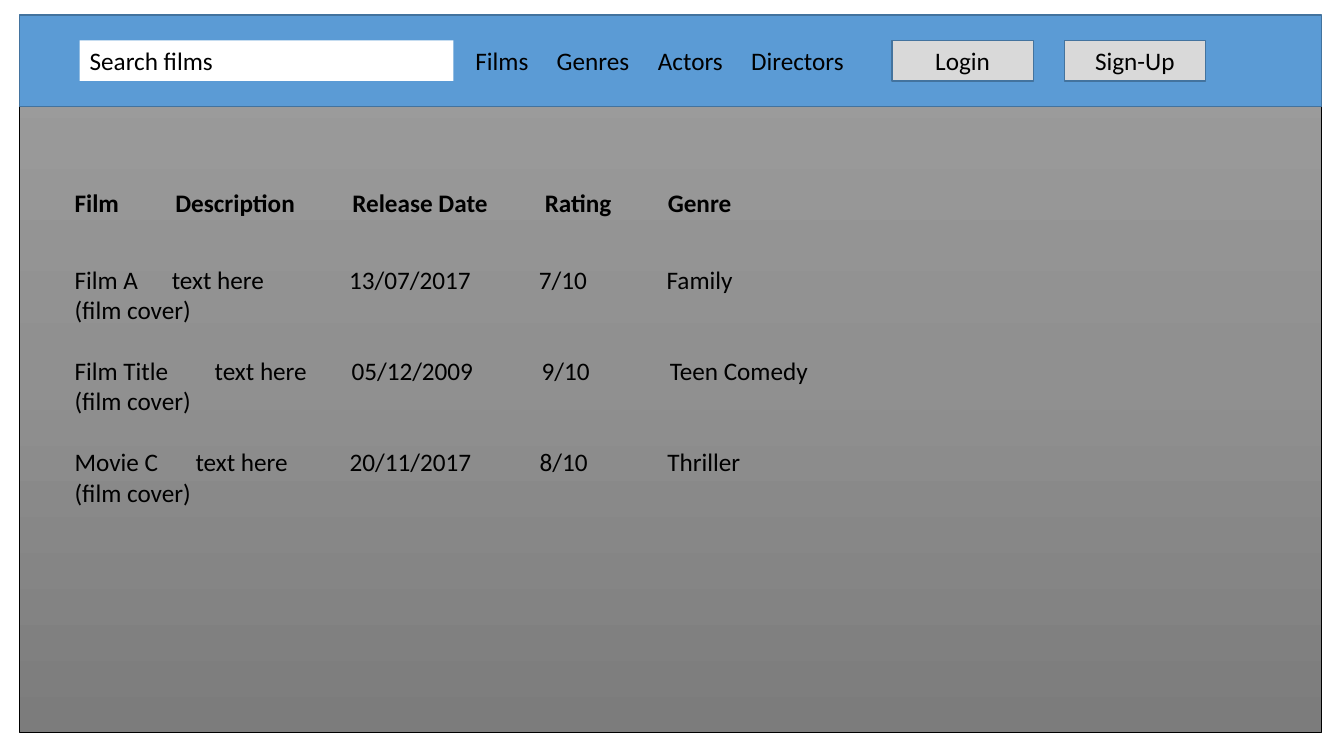
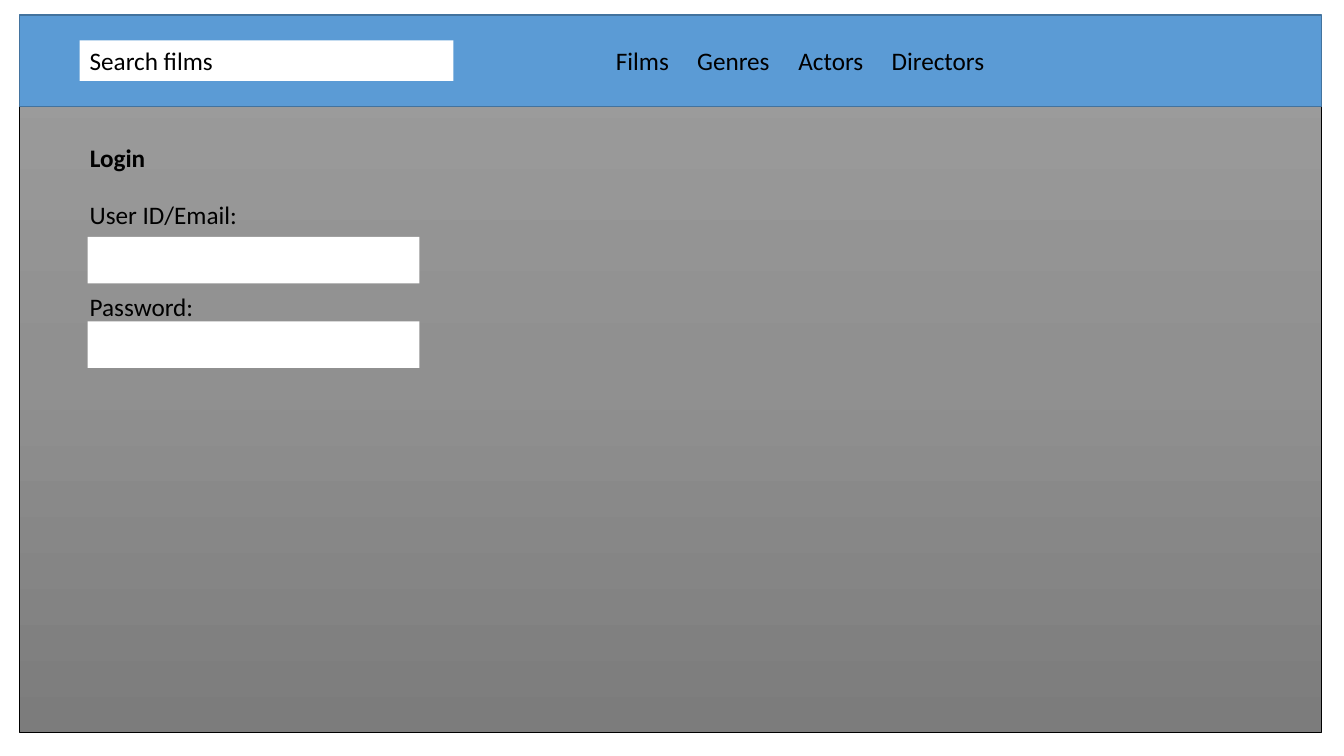
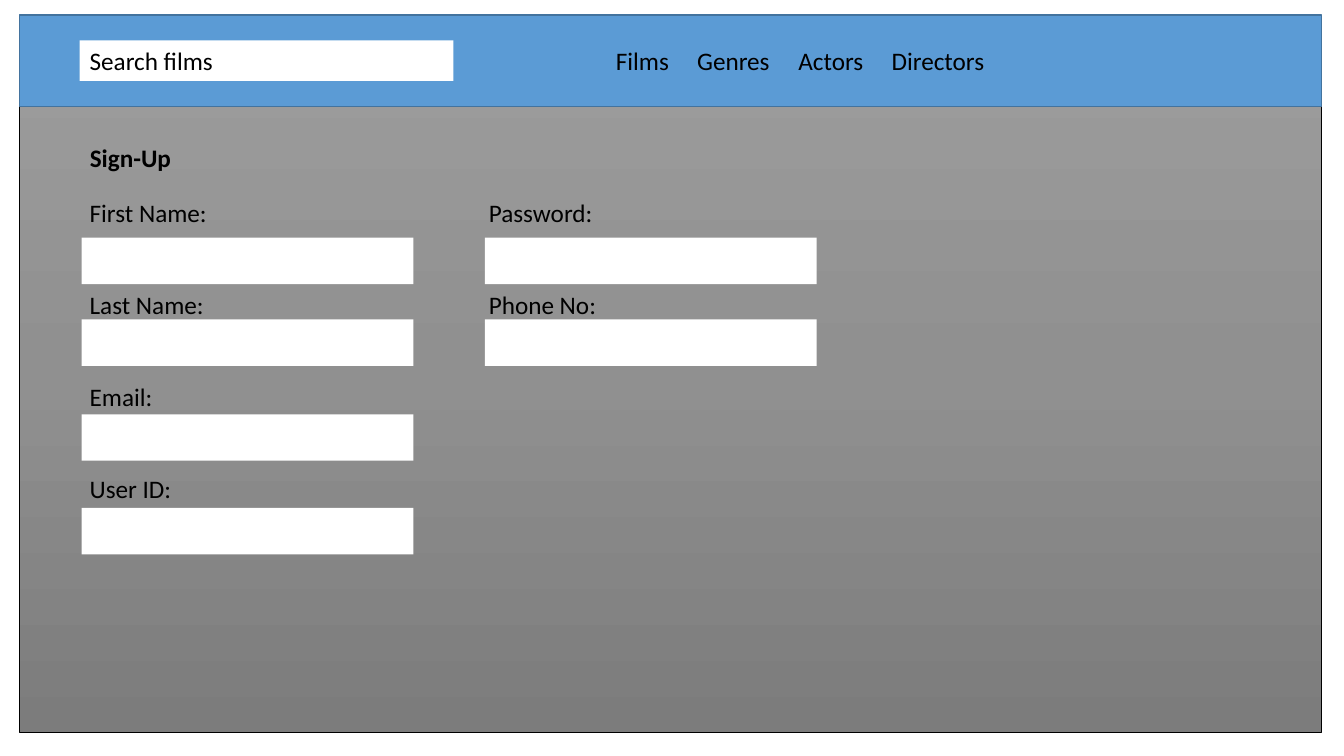
from dataclasses import dataclass

from lxml.etree import SubElement
from pptx import Presentation
from pptx.dml.color import RGBColor
from pptx.enum.shapes import MSO_SHAPE
from pptx.enum.text import MSO_ANCHOR, MSO_AUTO_SIZE, PP_ALIGN
from pptx.oxml.ns import qn
from pptx.shapes.autoshape import Shape
from pptx.slide import Slide
from pptx.text.text import TextFrame
from pptx.util import Cm, Pt

COLOURS = {
    "text": "000000",
    "bar": "5B9BD5",
    "bar_line": "43739E",
    "button": "D9D9D9",
    "field": "FFFFFF",
    "frame_line": "000000",
}
BACKDROP_STOPS = {0: "9D9D9D", 50: "909090", 100: "7C7C7C"}
FONT = "Calibri"
TEXT_SIZE = 18
TEXT_LINE = 22  # height of one text line in points

BAR_TOP, BAR_HEIGHT = 0.38, 2.31
FRAME_LEFT, FRAME_WIDTH, FRAME_HEIGHT = 0.5, 32.8, 18.08
CONTROL_TOP, CONTROL_HEIGHT = 1.02, 1.02
CONTENT_LEFT = 2.01
FIELD_WIDTH, FIELD_HEIGHT = 8.36, 1.17
MENU = ("Films", "Genres", "Actors", "Directors")
MENU_STOPS = (2.05, 4.6, 6.95)


@dataclass
class Area:
    """A rectangle in centimetres."""
    left: float
    top: float
    width: float
    height: float

    def lengths(self) -> tuple[Cm, Cm, Cm, Cm]:
        return Cm(self.left), Cm(self.top), Cm(self.width), Cm(self.height)


@dataclass
class Film:
    cells: tuple[str, ...]
    stops: tuple[float, ...]


@dataclass
class FieldColumn:
    """Labels in one text box, with an entry field for each."""
    labels: tuple[str, ...]
    label_area: Area
    field_left: float
    field_tops: tuple[float, ...]


@dataclass
class FormPage:
    title: str
    columns: tuple[FieldColumn, ...]


HEADINGS = Film(("Film", "Description", "Release Date", "Rating", "Genre"),
                (2.54, 7, 11.85, 14.95))
FILMS = (
    Film(("Film A", "text here", "13/07/2017", "7/10", "Family"), (2.45, 6.92, 11.7, 14.92)),
    Film(("Film Title", "text here", "05/12/2009", "9/10", "Teen Comedy"),
         (3.53, 6.98, 11.77, 15)),
    Film(("Movie C", "text here", "20/11/2017", "8/10", "Thriller"), (3.05, 6.93, 11.72, 14.94)),
)
FORMS = (
    FormPage("Login", (
        FieldColumn(("User ID/Email:", "Password:"), Area(CONTENT_LEFT, 4.9, 9.12, 3.33),
                    2.21, (5.97, 8.1)),
    )),
    FormPage("Sign-Up", (
        FieldColumn(("First Name:", "Last Name:", "Email:", "User ID:"),
                    Area(CONTENT_LEFT, 4.85, 9.12, 9.5), 2.06, (5.99, 8.05, 10.44, 12.8)),
        FieldColumn(("Password:", "Phone No:"), Area(12.07, 4.85, 7.77, 3.33),
                    12.22, (5.99, 8.05)),
    )),
)


def colour(name: str) -> RGBColor:
    return RGBColor.from_string(COLOURS[name])


# Text
def write(frame: TextFrame, text: str, *, first: bool = True, bold: bool = False,
          align: PP_ALIGN = PP_ALIGN.LEFT, before: float = 0,
          stops: tuple[float, ...] = ()) -> None:
    """Write one paragraph with its format and tab stops."""
    para = frame.paragraphs[0] if first else frame.add_paragraph()
    para.alignment = align
    para.space_before = Pt(before)
    if stops:
        tabs = SubElement(para._p.get_or_add_pPr(), qn("a:tabLst"))
        for stop in stops:
            SubElement(tabs, qn("a:tab"), pos=str(int(Cm(stop))), algn="l")
    span = para.add_run()
    span.text = text
    span.font.name = FONT
    span.font.size = Pt(TEXT_SIZE)
    span.font.bold = bold
    span.font.color.rgb = colour("text")


def fit_text(frame: TextFrame) -> TextFrame:
    frame.word_wrap = True
    frame.auto_size = MSO_AUTO_SIZE.SHAPE_TO_FIT_TEXT
    frame.vertical_anchor = MSO_ANCHOR.TOP
    return frame


def add_text_frame(page: Slide, area: Area) -> TextFrame:
    return fit_text(page.shapes.add_textbox(*area.lengths()).text_frame)


# Shapes
def add_box(page: Slide, area: Area, *, fill: str = "", line: str = "",
            line_width: float = 1) -> Shape:
    box = page.shapes.add_shape(MSO_SHAPE.RECTANGLE, *area.lengths())
    box.shadow.inherit = False
    if fill:
        box.fill.solid()
        box.fill.fore_color.rgb = colour(fill)
    if line:
        box.line.color.rgb = colour(line)
        box.line.width = Pt(line_width)
    else:
        box.line.fill.background()
    return box


def shade_backdrop(box: Shape) -> None:
    """Fill the box with the grey gradient, running downwards."""
    box.fill.gradient()
    box.fill.gradient_angle = 270
    stop_list = box._element.spPr.find(qn("a:gradFill")).find(qn("a:gsLst"))
    for stop in list(stop_list):
        stop_list.remove(stop)
    for percent, value in BACKDROP_STOPS.items():
        stop = SubElement(stop_list, qn("a:gs"), pos=str(percent * 1000))
        SubElement(stop, qn("a:srgbClr"), val=value)


def add_button(page: Slide, label: str, left: float) -> None:
    button = add_box(page, Area(left, CONTROL_TOP, 3.56, CONTROL_HEIGHT),
                     fill="button", line="bar_line")
    button.text_frame.vertical_anchor = MSO_ANCHOR.MIDDLE
    write(button.text_frame, label, align=PP_ALIGN.CENTER)


def add_site_frame(page: Slide, menu_left: float, menu_width: float) -> None:
    """Backdrop, top bar, search field and menu of every page."""
    backdrop = add_box(page, Area(FRAME_LEFT, BAR_TOP, FRAME_WIDTH, FRAME_HEIGHT),
                       line="frame_line", line_width=0.5)
    shade_backdrop(backdrop)
    add_box(page, Area(FRAME_LEFT, BAR_TOP, FRAME_WIDTH, BAR_HEIGHT),
            fill="bar", line="bar_line")
    search = add_box(page, Area(CONTENT_LEFT, CONTROL_TOP, 9.42, CONTROL_HEIGHT), fill="field")
    write(fit_text(search.text_frame), "Search films")
    menu = add_text_frame(page, Area(menu_left, CONTROL_TOP, menu_width, CONTROL_HEIGHT))
    write(menu, "\t".join(MENU), stops=MENU_STOPS)


# Pages
def add_film_page(deck: Presentation) -> None:
    page = deck.slides.add_slide(deck.slide_layouts.get_by_name("Blank"))
    add_site_frame(page, 11.73, 11.71)
    add_button(page, "Login", 22.48)
    add_button(page, "Sign-Up", 26.82)

    heading = add_text_frame(page, Area(1.63, 4.6, 20.47, 1.07))
    write(heading, "\t".join(HEADINGS.cells), bold=True, stops=HEADINGS.stops)
    listing = add_text_frame(page, Area(1.63, 6.53, 24.21, 7.19))
    for index, film in enumerate(FILMS):
        write(listing, "\t".join(film.cells), first=index == 0,
              before=TEXT_LINE if index else 0, stops=film.stops)
        write(listing, "(film cover)", first=False)


def add_form_page(deck: Presentation, form: FormPage) -> None:
    page = deck.slides.add_slide(deck.slide_layouts.get_by_name("Title Only"))
    add_site_frame(page, 15.27, 12.67)

    # The title goes in front of the backdrop
    title = page.shapes.title
    title.left, title.top, title.width, title.height = Area(
        CONTENT_LEFT, 3.45, 14.2, 1.02).lengths()
    write(fit_text(title.text_frame), form.title, bold=True)
    page.shapes._spTree.append(title._element)

    for column in form.columns:
        labels = add_text_frame(page, column.label_area)
        for index, label in enumerate(column.labels):
            write(labels, label, first=index == 0, before=2 * TEXT_LINE if index else 0)
        for top in column.field_tops:
            add_box(page, Area(column.field_left, top, FIELD_WIDTH, FIELD_HEIGHT), fill="field")


def main() -> None:
    deck = Presentation()
    deck.slide_width, deck.slide_height = Cm(33.87), Cm(19.05)
    add_film_page(deck)
    for form in FORMS:
        add_form_page(deck, form)
    deck.save("out.pptx")


main()
